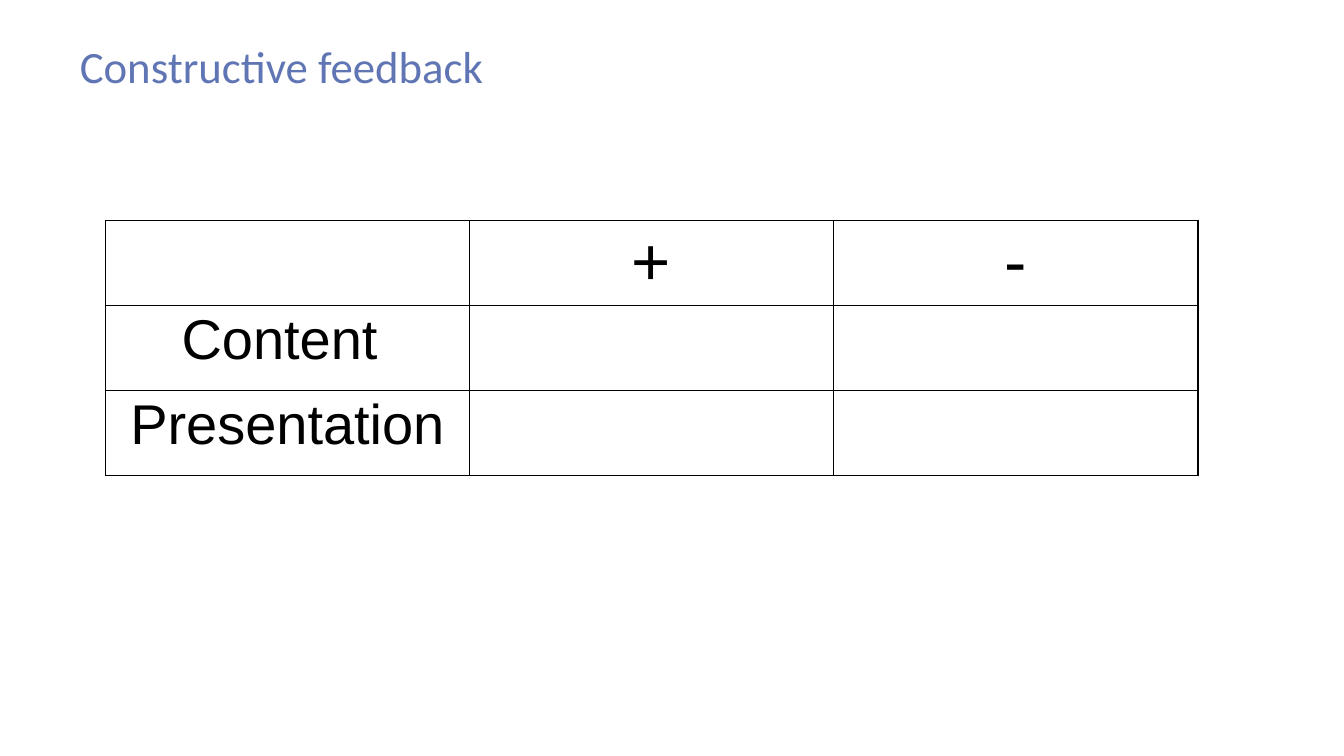
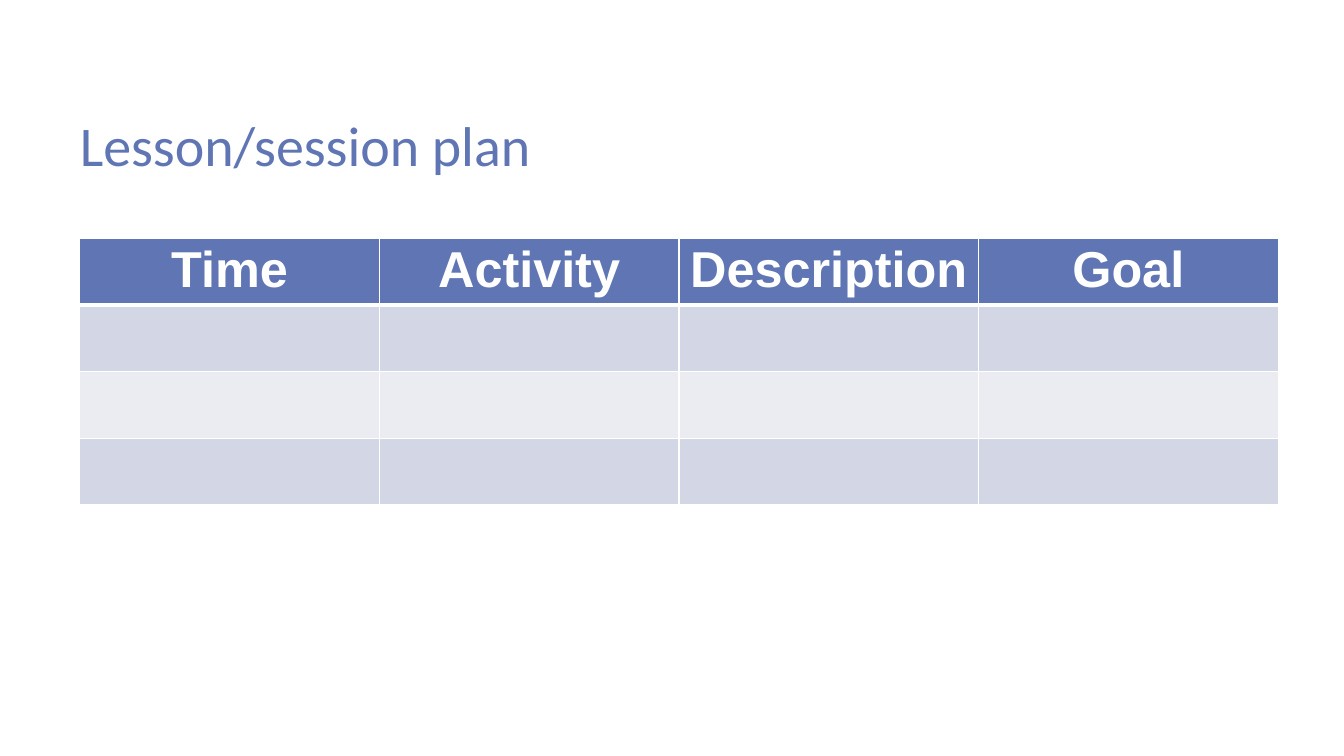
import lxml.etree
import pptx
import pptx.dml.color
import pptx.enum.text
import pptx.oxml.ns
import pptx.util

Cm = pptx.util.Cm
Pt = pptx.util.Pt
RGBColor = pptx.dml.color.RGBColor

BLUE = RGBColor(0x60, 0x76, 0xB4)
BAND_DARK = RGBColor(0xD2, 0xD6, 0xE5)
BAND_LIGHT = RGBColor(0xEA, 0xEC, 0xF2)
BLACK = RGBColor(0, 0, 0)
WHITE = RGBColor(0xFF, 0xFF, 0xFF)

TITLE_FONT = "Calibri"
TABLE_FONT = "Arial"
LEFT = Cm(2.01)
TITLE_HEIGHT = Cm(1.4)
TITLE_ONLY = 5


def format_runs(paragraph, font_name, size, color, bold=False):
    for run in paragraph.runs:
        run.font.name = font_name
        run.font.size = Pt(size)
        run.font.color.rgb = color
        run.font.bold = bold


def add_titled_slide(deck, heading, top, width, size):
    slide = deck.slides.add_slide(deck.slide_layouts[TITLE_ONLY])
    title = slide.shapes.title
    title.left, title.top, title.width, title.height = LEFT, top, width, TITLE_HEIGHT
    frame = title.text_frame
    frame.text = heading
    frame.word_wrap = True
    frame.auto_size = pptx.enum.text.MSO_AUTO_SIZE.NONE
    frame.vertical_anchor = pptx.enum.text.MSO_ANCHOR.TOP
    frame.margin_left = frame.margin_right = frame.margin_bottom = 0
    frame.margin_top = Cm(0.07)
    paragraph = frame.paragraphs[0]
    paragraph.alignment = pptx.enum.text.PP_ALIGN.LEFT
    format_runs(paragraph, TITLE_FONT, size, BLUE)
    return slide


def add_grid(slide, rows, columns, left, top, column_width, row_height):
    frame = slide.shapes.add_table(
        rows, columns, left, top, column_width * columns, row_height * rows)
    grid = frame.table
    grid.first_row = grid.horz_banding = False
    for column in grid.columns:
        column.width = column_width
    for row in grid.rows:
        row.height = row_height
    for cell in grid.iter_cells():
        cell.margin_top = cell.margin_bottom = Cm(0.09)
        cell.margin_left = cell.margin_right = Cm(0.2)
        cell.fill.background()
    return grid


def set_borders(cell, color, top=1, bottom=1):
    qn = pptx.oxml.ns.qn
    properties = cell._tc.get_or_add_tcPr()
    edges = (("a:lnL", 1), ("a:lnR", 1), ("a:lnT", top), ("a:lnB", bottom))
    for position, (edge, width) in enumerate(edges):
        line = lxml.etree.Element(qn(edge), w=str(Pt(width)))
        fill = lxml.etree.SubElement(line, qn("a:solidFill"))
        lxml.etree.SubElement(fill, qn("a:srgbClr"), val=str(color))
        properties.insert(position, line)


def write_cell(cell, text, size, color, bold=False):
    cell.text_frame.text = text
    paragraph = cell.text_frame.paragraphs[0]
    paragraph.alignment = pptx.enum.text.PP_ALIGN.CENTER
    format_runs(paragraph, TABLE_FONT, size, color, bold)


def add_feedback_slide(deck):
    slide = add_titled_slide(deck, "Constructive feedback", Cm(0.91), Cm(30.2), 32)
    feedback = add_grid(slide, 3, 3, Cm(2.65), Cm(5.56), Cm(9.18), Cm(2.14))
    for cell in feedback.iter_cells():
        set_borders(cell, BLACK)
    for column, sign in enumerate(("+", "-"), start=1):
        write_cell(feedback.cell(0, column), sign, 48, BLACK)
    for row, aspect in enumerate(("Content ", "Presentation"), start=1):
        write_cell(feedback.cell(row, 0), aspect, 40, BLACK)


def add_plan_slide(deck):
    slide = add_titled_slide(deck, "Lesson/session plan", Cm(2.72), Cm(11.91), 40)
    headings = ("Time", "Activity", "Description", "Goal")
    row_fills = (BLUE, BAND_DARK, BAND_LIGHT, BAND_DARK)
    plan = add_grid(slide, len(row_fills), len(headings),
                    LEFT, Cm(6), Cm(7.55), Cm(1.68))
    for row, fill in enumerate(row_fills):
        for cell in plan.rows[row].cells:
            set_borders(cell, WHITE, top=3 if row == 1 else 1,
                        bottom=3 if row == 0 else 1)
            cell.fill.solid()
            cell.fill.fore_color.rgb = fill
    for column, heading in enumerate(headings):
        write_cell(plan.cell(0, column), heading, 36, WHITE, bold=True)


def main():
    deck = pptx.Presentation()
    deck.slide_width = Cm(33.87)
    deck.slide_height = Cm(19.05)
    add_feedback_slide(deck)
    add_plan_slide(deck)
    deck.save("out.pptx")


main()
